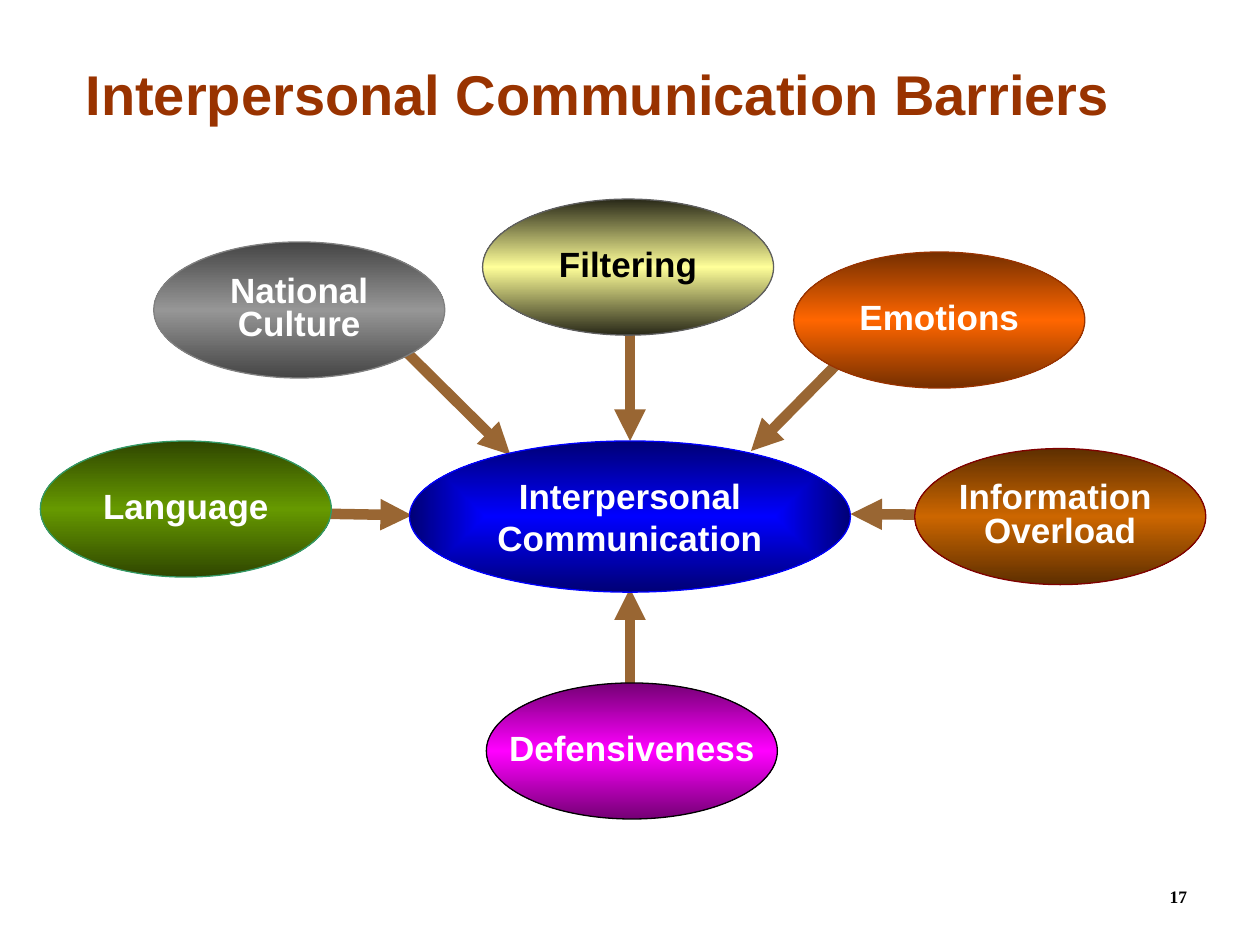
"""Build the slide on barriers to interpersonal communication."""
from pptx import Presentation
from pptx.dml.color import RGBColor
from pptx.enum.shapes import MSO_CONNECTOR, MSO_SHAPE
from pptx.enum.text import MSO_ANCHOR, PP_ALIGN
from pptx.oxml import parse_xml
from pptx.oxml.ns import nsdecls, qn
from pptx.util import Inches, Pt

OVAL = MSO_SHAPE.OVAL
STRAIGHT = MSO_CONNECTOR.STRAIGHT
LEFT, CENTER, RIGHT = PP_ALIGN.LEFT, PP_ALIGN.CENTER, PP_ALIGN.RIGHT
MIDDLE, BOTTOM = MSO_ANCHOR.MIDDLE, MSO_ANCHOR.BOTTOM

WHITE = RGBColor(0xFF, 0xFF, 0xFF)
BLACK = RGBColor(0x00, 0x00, 0x00)
RUST = RGBColor(0x99, 0x33, 0x00)
TAN = RGBColor(0x99, 0x66, 0x33)
BLUE = RGBColor(0x00, 0x00, 0xFF)
NAVY = RGBColor(0x00, 0x00, 0x75)
PINK = RGBColor(0xFF, 0x00, 0xFF)
PLUM = RGBColor(0x75, 0x00, 0x75)
GRAY = RGBColor(0x96, 0x96, 0x96)
SLATE = RGBColor(0x45, 0x45, 0x45)
STEEL = RGBColor(0x80, 0x80, 0x80)
ORANGE = RGBColor(0xFF, 0x66, 0x00)
BROWN = RGBColor(0x75, 0x2F, 0x00)
AMBER = RGBColor(0xCC, 0x66, 0x00)
UMBER = RGBColor(0x5E, 0x2F, 0x00)
MAROON = RGBColor(0x80, 0x00, 0x00)
GREEN = RGBColor(0x66, 0x99, 0x00)
MOSS = RGBColor(0x2F, 0x46, 0x00)
JADE = RGBColor(0x33, 0x99, 0x66)
CREAM = RGBColor(0xFF, 0xFF, 0x99)
SOOT = RGBColor(0x28, 0x28, 0x18)
ASH = RGBColor(0x5F, 0x5F, 0x5F)

WIDE, HIGH = 2.31, 1.08
LINEAR = '<a:lin ang="5400000" scaled="1"/>'
RECT = ('<a:path path="rect"><a:fillToRect l="50000" t="50000" '
        'r="50000" b="50000"/></a:path>')

CAUSES = [
    ("Defensiveness", 3.86, 5.42, PINK, PLUM, BLACK, WHITE),
    ("National\nCulture", 1.22, 1.92, GRAY, SLATE, STEEL, WHITE),
    ("Emotions", 6.3, 2, ORANGE, BROWN, RUST, WHITE),
    ("Information \nOverload", 7.26, 3.56, AMBER, UMBER, MAROON, WHITE),
    ("Language", 0.32, 3.5, GREEN, MOSS, JADE, WHITE),
    ("Filtering", 3.83, 1.58, CREAM, SOOT, ASH, BLACK),
]
ARROWS = [
    (5, 5.83, 5, 4.67),
    (2.17, 4.07, 3.27, 4.09),
    (3.04, 2.61, 4.05, 3.61),
    (8.04, 4.09, 6.75, 4.08),
    (6.84, 2.69, 5.96, 3.58),
    (5, 2.33, 5, 3.5),
]


def write(shape, text, size=20, color=WHITE, font="Arial", align=CENTER,
          anchor=MIDDLE, wrap=True, space=None, side=0.1):
    """Put formatted text into a shape."""
    frame = shape.text_frame
    frame.word_wrap = wrap
    frame.vertical_anchor = anchor
    frame.margin_left = frame.margin_right = Inches(side)
    frame.margin_top = frame.margin_bottom = Inches(0.05)
    para = frame.paragraphs[0]
    para.text = text.replace("\n", "\v")
    para.alignment = align
    para.line_spacing = space
    for run in para.runs:
        run.font.name = font
        run.font.size = Pt(size)
        run.font.bold = True
        run.font.color.rgb = color


def shade(shape, stops, kind):
    """Fill a shape with a gradient of evenly spaced colours."""
    step = 100000 // (len(stops) - 1)
    marks = "".join(
        f'<a:gs pos="{i * step}"><a:srgbClr val="{color}"/></a:gs>'
        for i, color in enumerate(stops))
    shape.fill.gradient()
    props = shape._element.spPr
    props.replace(props.find(qn("a:gradFill")), parse_xml(
        f'<a:gradFill {nsdecls("a")} rotWithShape="1">'
        f'<a:gsLst>{marks}</a:gsLst>{kind}</a:gradFill>'))


def add_oval(slide, box, stops, kind, edge):
    """Draw a shaded oval with a thin edge."""
    oval = slide.shapes.add_shape(OVAL, *map(Inches, box))
    oval.shadow.inherit = False
    shade(oval, stops, kind)
    oval.line.color.rgb = edge
    oval.line.width = Pt(0.75)
    return oval


def add_arrow(slide, ends):
    """Draw a thick arrow from its start to its tip."""
    arrow = slide.shapes.add_connector(STRAIGHT, *map(Inches, ends))
    arrow.line.color.rgb = TAN
    arrow.line.width = Pt(6)
    props = arrow._element.spPr
    props.find(qn("a:ln")).append(
        parse_xml(f'<a:tailEnd {nsdecls("a")} type="triangle"/>'))
    props.append(parse_xml(f'<a:effectLst {nsdecls("a")}/>'))


def add_title(slide, text):
    """Place and write the slide title."""
    title = slide.shapes.title
    title.left, title.top = Inches(0.58), Inches(0.42)
    title.width, title.height = Inches(8.83), Inches(0.64)
    write(title, text, size=32, color=RUST, align=LEFT)


def add_number(slide, text):
    """Write the page number at the lower right."""
    box = slide.shapes.add_textbox(*map(Inches, (7, 6.75, 2.42, 0.5)))
    write(box, text, size=10, color=BLACK, font="Times New Roman",
          align=RIGHT, anchor=BOTTOM, side=0)


def main():
    """Build and save the slide."""
    deck = Presentation()
    deck.slide_width, deck.slide_height = Inches(10), Inches(7.5)
    slide = deck.slides.add_slide(deck.slide_layouts[5])
    add_title(slide, "Interpersonal Communication Barriers")
    for ends in ARROWS:
        add_arrow(slide, ends)
    hub = add_oval(slide, (3.25, 3.5, 3.5, 1.2), (BLUE, NAVY), RECT, BLUE)
    write(hub, "Interpersonal Communication")
    for text, left, top, light, dark, edge, color in CAUSES:
        oval = add_oval(slide, (left, top, WIDE, HIGH),
                        (dark, light, dark), LINEAR, edge)
        write(oval, text, color=color, wrap=False, space=0.8)
    add_number(slide, "17")
    deck.save("out.pptx")


if __name__ == "__main__":
    main()
